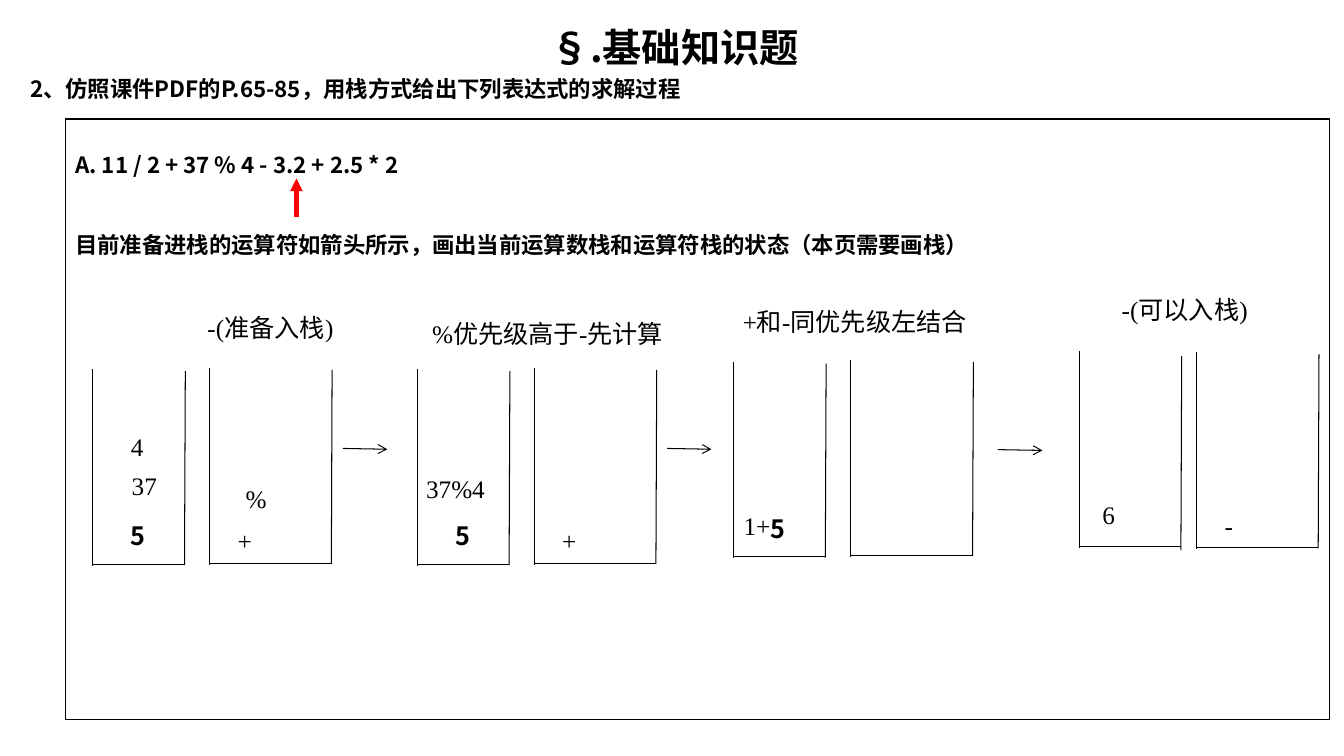
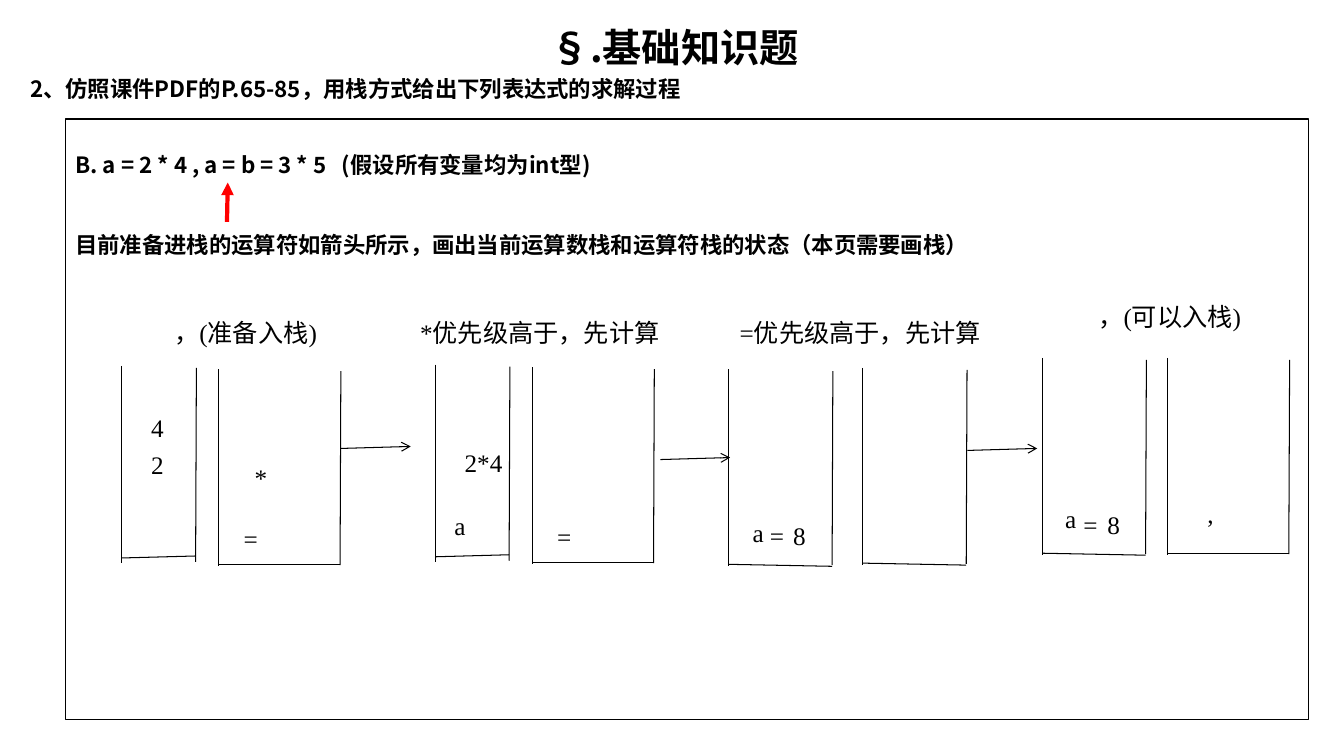
from dataclasses import dataclass

from pptx import Presentation
from pptx.dml.color import RGBColor
from pptx.enum.shapes import MSO_CONNECTOR as Connector, MSO_SHAPE as Preset
from pptx.enum.text import MSO_ANCHOR as Anchor, PP_ALIGN as Align
from pptx.oxml.ns import qn
from pptx.util import Cm, Pt
from lxml import etree

# Shared style
BLACK = RGBColor(0x00, 0x00, 0x00)
RED = RGBColor(0xFF, 0x00, 0x00)
WHITE = RGBColor(0xFF, 0xFF, 0xFF)
SANS = "Noto Sans CJK SC"
SERIF = "Times New Roman"
LINE_RATIO = 1.2
TITLE_SIZE, BODY_SIZE, NOTE_SIZE = 28, 16, 18

# Shared wording
TITLE = "§.基础知识题"
QUESTION = "2、仿照课件PDF的P.65-85，用栈方式给出下列表达式的求解过程"
TASK = "目前准备进栈的运算符如箭头所示，画出当前运算数栈和运算符栈的状态（本页需要画栈）"

# Stack walls, in centimetres
WALL_HEIGHT = 4.96
RIGHT_WALL_HEIGHT = 4.89
WALL_LEAN = 0.02
NOTE_HEIGHT = 1.02


@dataclass(frozen=True)
class Stack:
    """An open-topped stack: two walls and a floor."""
    left: float
    top: float
    width: float
    depth: float = 4.92
    tilt: float = 0
    drop: float = 0.05


@dataclass(frozen=True)
class Note:
    """A stack entry or a caption."""
    text: str
    left: float
    top: float
    width: float = 2.36
    bold: bool = False


@dataclass(frozen=True)
class Stroke:
    """A straight line between two points."""
    x1: float
    y1: float
    x2: float
    y2: float


@dataclass(frozen=True)
class Exercise:
    """Everything that differs between the pages."""
    expression: str
    frame_width: float
    pointer: Stroke
    step_run: float
    step_rise: float
    steps: list[tuple[float, float]]
    stacks: list[Stack]
    notes: list[Note]


def add_text(frame, text: str, *, size: float = NOTE_SIZE, font: str = SERIF,
             bold: bool = False, align=Align.LEFT, before: float = 0,
             first: bool = True) -> None:
    """Write one paragraph into a text frame."""
    para = frame.paragraphs[0] if first else frame.add_paragraph()
    para.alignment = align
    para.line_spacing = Pt(size * LINE_RATIO)
    para.space_before = Pt(before)
    span = para.add_run()
    span.text = text
    span.font.size = Pt(size)
    span.font.name = font
    span.font.bold = bold
    span.font.color.rgb = BLACK
    east_asian = etree.SubElement(span.font._element, qn("a:ea"))
    east_asian.set("typeface", SANS)


def add_box(page, left: float, top: float, width: float, height: float):
    """Add a wrapping text box and return its text frame."""
    box = page.shapes.add_textbox(Cm(left), Cm(top), Cm(width), Cm(height))
    box.text_frame.word_wrap = True
    return box.text_frame


def add_line(page, stroke: Stroke, *, color: RGBColor = BLACK,
             weight: float = 0.75, head: str = "") -> None:
    """Draw a line, with an arrowhead at its end if one is named."""
    line = page.shapes.add_connector(
        Connector.STRAIGHT, Cm(stroke.x1), Cm(stroke.y1),
        Cm(stroke.x2), Cm(stroke.y2))
    line.line.color.rgb = color
    line.line.width = Pt(weight)
    if head:
        outline = line.line._get_or_add_ln()
        etree.SubElement(outline, qn("a:tailEnd")).set("type", head)
    etree.SubElement(line._element.spPr, qn("a:effectLst"))


def add_stack(page, stack: Stack) -> None:
    right = stack.left + stack.width
    floor = stack.top + stack.depth
    right_top = stack.top + stack.drop
    add_line(page, Stroke(stack.left, stack.top,
                          stack.left, stack.top + WALL_HEIGHT))
    add_line(page, Stroke(stack.left, floor, right, floor + stack.tilt))
    add_line(page, Stroke(right, right_top + RIGHT_WALL_HEIGHT,
                          right + WALL_LEAN, right_top))


def add_note(page, note: Note) -> None:
    frame = add_box(page, note.left, note.top, note.width, NOTE_HEIGHT)
    add_text(frame, note.text, font=SANS if note.bold else SERIF,
             bold=note.bold)


def add_heading(page) -> None:
    frame = add_box(page, 0.51, 0.46, 32.99, 18)
    add_text(frame, TITLE, size=TITLE_SIZE, font=SANS, bold=True,
             align=Align.CENTER)
    add_text(frame, QUESTION, size=BODY_SIZE, font=SANS, bold=True,
             before=BODY_SIZE * 0.2, first=False)


def add_frame(page, expression: str, width: float) -> None:
    """Draw the answer frame with the expression and the task."""
    box = page.shapes.add_shape(Preset.RECTANGLE, Cm(1.65), Cm(3),
                                Cm(width), Cm(15.14))
    box.shadow.inherit = False
    box.fill.background()
    box.line.color.rgb = BLACK
    box.line.width = Pt(0.75)
    frame = box.text_frame
    frame.word_wrap = True
    frame.vertical_anchor = Anchor.TOP
    frame.margin_top = Cm(0.8)
    add_text(frame, expression, size=BODY_SIZE, font=SANS, bold=True)
    add_text(frame, TASK, size=BODY_SIZE, font=SANS, bold=True,
             before=2 * BODY_SIZE * LINE_RATIO, first=False)


def add_exercise(deck, exercise: Exercise) -> None:
    page = deck.slides.add_slide(deck.slide_layouts[6])
    page.background.fill.solid()
    page.background.fill.fore_color.rgb = WHITE
    add_heading(page)
    add_frame(page, exercise.expression, exercise.frame_width)
    add_line(page, exercise.pointer, color=RED, weight=3, head="triangle")
    for stack in exercise.stacks:
        add_stack(page, stack)
    for x, y in exercise.steps:
        add_line(page, Stroke(x, y, x + exercise.step_run,
                              y + exercise.step_rise), head="arrow")
    for note in exercise.notes:
        add_note(page, note)


EXERCISES = [
    Exercise(
        expression="A. 11 / 2 + 37 % 4 - 3.2 + 2.5 * 2",
        frame_width=31.85,
        pointer=Stroke(7.47, 5.46, 7.47, 4.5),
        step_run=1.12,
        step_rise=0.02,
        steps=[(8.64, 11.3), (16.81, 11.3), (25.15, 11.33)],
        stacks=[
            Stack(2.34, 9.3, 2.31), Stack(5.28, 9.27, 3.07),
            Stack(10.52, 9.3, 2.31), Stack(13.46, 9.27, 3.07),
            Stack(18.49, 9.11, 2.31), Stack(21.44, 9.07, 3.07),
            Stack(27.2, 8.84, 2.56, drop=0.13), Stack(30.15, 8.88, 3.07),
        ],
        notes=[
            # Modulo waits on the stack
            Note("-(准备入栈)", 4.98, 7.75, 5.61),
            Note("4", 3.05, 10.74),
            Note("37", 3.07, 11.73),
            Note("5", 3.05, 12.98, bold=True),
            Note("%", 5.94, 12.06),
            Note("+", 5.74, 13.11),
            # Modulo is computed
            Note("%优先级高于-先计算", 10.64, 7.9, 6.63),
            Note("37%4", 10.49, 11.79, 2.92),
            Note("5", 11.23, 12.98, bold=True),
            Note("+", 13.92, 13.11),
            # Plus is computed
            Note("+和-同优先级左结合", 18.47, 7.59, 6.63),
            Note("1+", 18.49, 12.73),
            Note("5", 19.18, 12.8, bold=True),
            # Minus is pushed
            Note("-(可以入栈)", 28.02, 7.29, 5.61),
            Note("6", 27.53, 12.47),
            Note("-", 30.61, 12.73),
        ],
    ),
    Exercise(
        expression="B. a = 2 * 4 , a = b = 3 * 5   (假设所有变量均为int型)",
        frame_width=31.32,
        pointer=Stroke(5.72, 5.59, 5.74, 4.6),
        step_run=1.76,
        step_rise=-0.05,
        steps=[(8.59, 11.3), (16.64, 11.58), (24.38, 11.35)],
        stacks=[
            Stack(3.07, 9.22, 1.86, depth=4.84, tilt=-0.05),
            Stack(5.51, 9.3, 3.06),
            Stack(10.97, 9.19, 1.86, depth=4.84, tilt=-0.05),
            Stack(13.41, 9.25, 3.06),
            Stack(18.36, 9.3, 2.61, tilt=0.05),
            Stack(21.74, 9.27, 2.61, tilt=0.05),
            Stack(26.26, 9.02, 2.61, tilt=0.05),
            Stack(29.41, 9.02, 3.07),
        ],
        notes=[
            # Multiplication waits on the stack
            Note("，(准备入栈)", 4.14, 7.87, 5.61),
            Note("4", 3.56, 10.26),
            Note("2", 3.56, 11.2),
            Note("*", 6.17, 11.53),
            Note("=", 5.89, 13.06),
            # Multiplication is computed
            Note("*优先级高于，先计算", 10.34, 7.87, 7.42),
            Note("2*4", 11.46, 11.15),
            Note("a", 11.2, 12.73),
            Note("=", 13.79, 13),
            # Assignment is computed
            Note("=优先级高于，先计算", 18.39, 7.87, 7.42),
            Note("a", 18.72, 12.9),
            Note("=", 19.15, 12.98),
            Note("8", 19.74, 12.98),
            # Comma is pushed
            Note("，(可以入栈)", 27.43, 7.47, 5.61),
            Note("a", 26.59, 12.57),
            Note("=", 27.05, 12.7),
            Note("8", 27.66, 12.7),
            Note(",", 30.18, 12.42),
        ],
    ),
]


def main() -> None:
    deck = Presentation()
    deck.slide_width, deck.slide_height = Cm(33.87), Cm(19.05)
    for exercise in EXERCISES:
        add_exercise(deck, exercise)
    deck.save("out.pptx")


if __name__ == "__main__":
    main()
